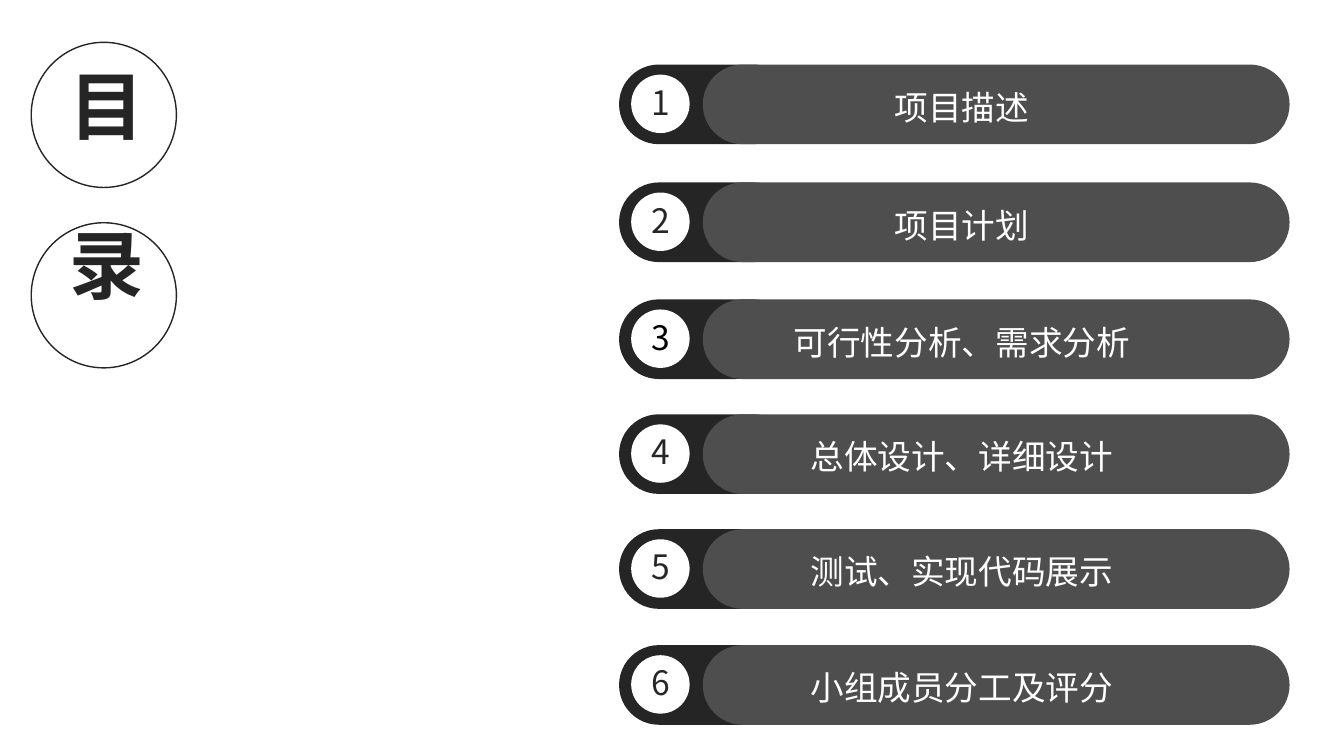
"""Build a contents slide with six numbered bars and a vertical heading."""
from pptx import Presentation
from pptx.dml.color import RGBColor
from pptx.enum.shapes import MSO_SHAPE as Shape
from pptx.enum.text import MSO_ANCHOR as Anchor, MSO_AUTO_SIZE as AutoSize, PP_ALIGN as Align
from pptx.oxml.ns import qn
from pptx.util import Inches, Pt

CJK_FONT = "Noto Sans CJK SC"
DARK, GREY, WHITE = "252525", "4E4E4E", "FFFFFF"


def add_form(shapes, kind, left, top, width, height, fill=None, line=None):
    form = shapes.add_shape(kind, Inches(left), Inches(top), Inches(width), Inches(height))
    form.shadow.inherit = False
    if kind == Shape.ROUNDED_RECTANGLE:
        form.adjustments[0] = 0.5
    if fill:
        form.fill.solid()
        form.fill.fore_color.rgb = RGBColor.from_string(fill)
    else:
        form.fill.background()
    if line:
        form.line.color.rgb = RGBColor.from_string(line)
        form.line.width = Pt(1)
    else:
        form.line.fill.background()


def write(box, *texts, size=24, color=WHITE, font=CJK_FONT, bold=False, wrap=True, anchor=Anchor.TOP):
    frame = box.text_frame
    frame.word_wrap = wrap
    frame.auto_size = AutoSize.NONE
    frame.vertical_anchor = anchor
    para = frame.paragraphs[0]
    para.alignment = Align.CENTER
    for text in texts:
        span = para.add_run()
        span.text = text
        span.font.size = Pt(size)
        span.font.bold = bold
        span.font.name = font
        span.font.color.rgb = RGBColor.from_string(color)
        east_asian = span.font._element.makeelement(qn("a:ea"), {"typeface": CJK_FONT})
        span.font._element.find(qn("a:latin")).addnext(east_asian)
    return para


deck = Presentation()
deck.slide_width, deck.slide_height = Inches(13.33), Inches(7.5)
page = deck.slides.add_slide(deck.slide_layouts[5])

for circle_top in (0.42, 2.21):
    add_form(page.shapes, Shape.OVAL, 0.31, circle_top, 1.44, 1.44, line=DARK)

title = page.shapes.title
title.left, title.top, title.width, title.height = (Inches(n) for n in (0.48, 0.63, 1.1, 2.64))
heading = write(title, "目 ", "录", size=53.4, color=DARK, font="Arial", bold=True,
                wrap=False, anchor=Anchor.MIDDLE)
heading.runs[0].font._element.set("spc", "2400")
title.text_frame._txBody.bodyPr.set("vert", "eaVert")
page.shapes._spTree.append(title._element)

sections = [
    (0.64, "项目描述", "262626"),
    (1.81, "项目计划", "262626"),
    (2.97, "可行性分析、需求分析", "000000"),
    (4.11, "总体设计、详细设计", "262626"),
    (5.25, "测试、实现代码展示", "262626"),
    (6.4, "小组成员分工及评分", "262626"),
]
for number, (top, label, number_color) in enumerate(sections, start=1):
    group = page.shapes.add_group_shape().shapes
    add_form(group, Shape.ROUNDED_RECTANGLE, 6.14, top, 1.73, 0.79, fill=DARK)
    add_form(group, Shape.ROUNDED_RECTANGLE, 6.97, top, 5.82, 0.79, fill=GREY)
    add_form(group, Shape.OVAL, 6.26, top + 0.1, 0.58, 0.58, fill=WHITE)
    number_box = group.add_textbox(Inches(6.35), Inches(top + 0.12), Inches(0.4), Inches(0.5))
    write(number_box, str(number), color=number_color, wrap=False)
    label_box = group.add_textbox(Inches(7.21), Inches(top + 0.17), Inches(4.66), Inches(0.5))
    write(label_box, label)

deck.save("out.pptx")
